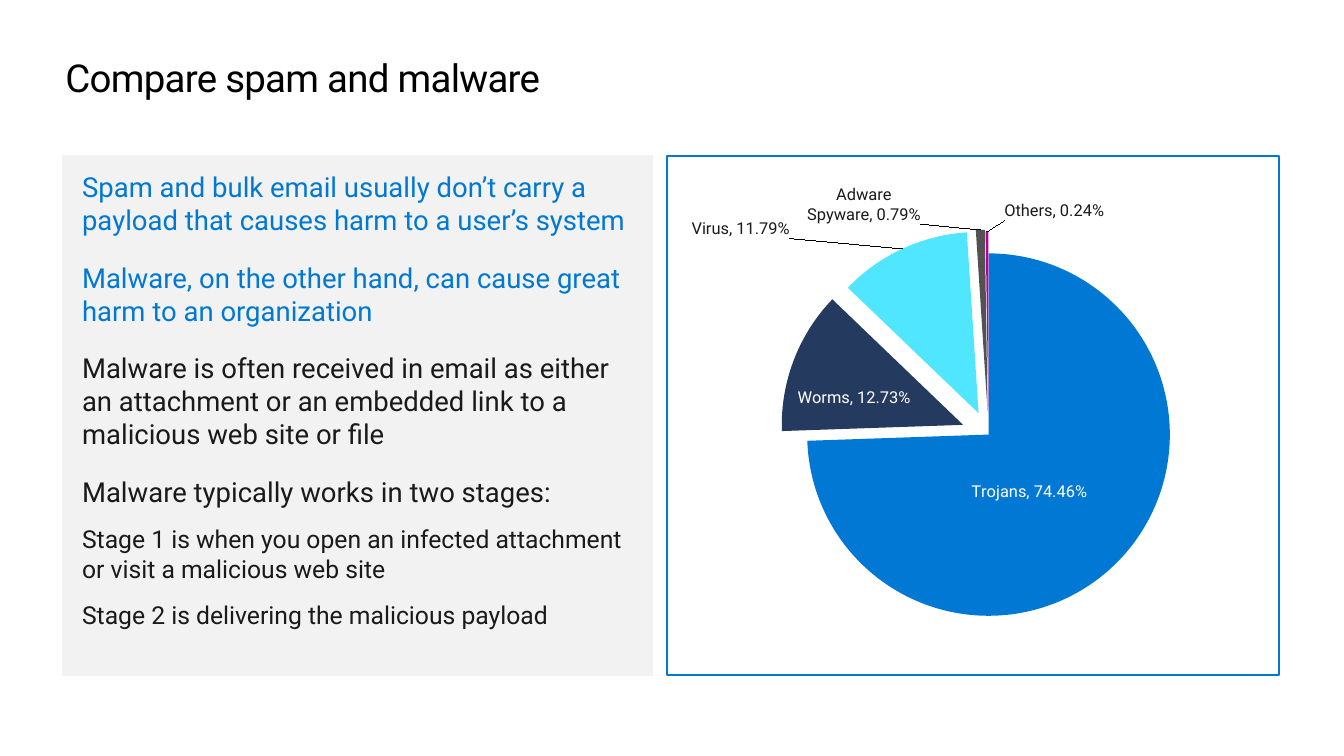
from lxml import etree
from pptx import Presentation
from pptx import util as u
from pptx.chart.data import CategoryChartData
from pptx.dml.color import RGBColor
from pptx.enum import chart as ch, shapes, text
from pptx.oxml import parse_xml
from pptx.oxml.ns import nsdecls, qn

BLUE, INK, WHITE = "0078D4", "1A1A1A", "FFFFFF"
TOP, HEIGHT = 3.99, 13.39

PARAGRAPHS = [  # text, size, colour, space after
    ("Spam and bulk email usually don’t carry a payload that causes harm to a user’s system", 20, BLUE, 6),
    ("Malware, on the other hand, can cause great harm to an organization", 20, BLUE, 6),
    ("Malware is often received in email as either an attachment or an embedded link "
     "to a malicious web site or file", 20, INK, 6),
    ("Malware typically works in two stages:", 20, INK, 0),
    ("Stage 1 is when you open an infected attachment or visit a malicious web site", 18, INK, 0),
    ("Stage 2 is delivering the malicious payload", 18, INK, 0),
]

CENTER = ch.XL_LABEL_POSITION.CENTER
OUTSIDE = ch.XL_LABEL_POSITION.OUTSIDE_END
SLICES = [  # name, share, fill, explosion, label place, label colour, label shift
    ("Trojans", 0.7446, BLUE, 0, CENTER, WHITE, (-0.04, -0.01)),
    ("Worms", 0.1273, "243A5E", 15, CENTER, WHITE, (-0.04, 0.01)),
    ("Virus", 0.1179, "50E6FF", 13, OUTSIDE, INK, (-0.18, -0.01)),
    ("Adware Spyware", 0.0079, "515251", 13, OUTSIDE, INK, (-0.19, 0)),
    ("Others", 0.0024, "B4009E", 12, OUTSIDE, INK, (0.11, -0.01)),
]


def rgb(value):
    return RGBColor.from_string(value)


def chart_xml(tag, attrs="", body=""):
    return parse_xml(f'<c:{tag} {nsdecls("c", "a")} {attrs}>{body}</c:{tag}>')


def manual_layout(**values):
    parts = "".join(f'<c:{k} val="{v}"/>' for k, v in values.items())
    return chart_xml("layout", body=f"<c:manualLayout>{parts}</c:manualLayout>")


class Deck:
    font = "Roboto"

    def __init__(self, width, height):
        self.prs = Presentation()
        self.prs.slide_width, self.prs.slide_height = u.Cm(width), u.Cm(height)
        self.s = self.prs.slides.add_slide(self.prs.slide_layouts[5])

    def style(self, font, size, color):
        font.name, font.size, font.bold = self.font, u.Pt(size), False
        font.color.rgb = rgb(color)

    def frame(self, tf, side, end):
        tf.word_wrap = True
        tf.vertical_anchor = text.MSO_ANCHOR.TOP
        tf.margin_left = tf.margin_right = u.Cm(side)
        tf.margin_top = tf.margin_bottom = u.Cm(end)

    def run(self, p, words, size, color):
        p.alignment = text.PP_ALIGN.LEFT
        r = p.add_run()
        r.text = words
        self.style(r.font, size, color)
        return r

    def title(self, words, x, y, w, h):
        sp = self.s.shapes.title
        sp.left, sp.top, sp.width, sp.height = map(u.Cm, (x, y, w, h))
        self.frame(sp.text_frame, 0, 0)
        r = self.run(sp.text_frame.paragraphs[0], words, 28, "000000")
        r.font._element.set("spc", "-50")

    def panel(self, paragraphs, x, y, w, h):
        sp = self.s.shapes.add_shape(shapes.MSO_SHAPE.RECTANGLE, *map(u.Cm, (x, y, w, h)))
        sp.shadow.inherit = False
        sp.fill.solid()
        sp.fill.fore_color.rgb = rgb("F2F2F2")
        sp.line.fill.background()
        tf = sp.text_frame
        self.frame(tf, 0.51, 0.38)
        for i, (words, size, color, after) in enumerate(paragraphs):
            p = tf.add_paragraph() if i else tf.paragraphs[0]
            p.space_before = u.Pt(12 if i else 0)
            p.space_after = u.Pt(after)
            self.run(p, words, size, color)

    def pie(self, slices, x, y, w, h):
        data = CategoryChartData(number_format="0.00%")
        data.categories = [row[0] for row in slices]
        data.add_series("Series 1", [row[1] for row in slices])
        chart = self.s.shapes.add_chart(
            ch.XL_CHART_TYPE.PIE, *map(u.Cm, (x, y, w, h)), data).chart
        chart.has_legend = chart.has_title = False
        self.style(chart.font, 10, INK)
        plot = chart.plots[0]
        plot.vary_by_categories = True
        series = plot.series[0]
        labels = series.data_labels
        labels.show_value = labels.show_category_name = True
        labels.number_format, labels.number_format_is_linked = "0.00%", False
        for i, row in enumerate(slices):
            self.pie_slice(series.points[i], *row[2:])
        for dpt, row in zip(series._element.findall(qn("c:dPt")), slices):
            dpt.find(qn("c:spPr")).addprevious(chart_xml("explosion", f'val="{row[3]}"'))
        for label, row in zip(series._element.iter(qn("c:dLbl")), slices):
            self.place_label(label, *row[6])
        self.outline(chart)

    def pie_slice(self, point, fill, explosion, place, color, shift):
        point.format.fill.solid()
        point.format.fill.fore_color.rgb = rgb(fill)
        point.format.line.fill.background()
        self.style(point.data_label.font, 12, color)
        point.data_label.position = place

    def place_label(self, label, dx, dy):
        """Shift a label from its default place and show name and share."""
        label.insert(1, manual_layout(x=dx, y=dy))
        label.insert(2, chart_xml("numFmt", 'formatCode="0.00%" sourceLinked="0"'))
        label.find(qn("c:showCatName")).set("val", "1")
        separator = etree.Element(qn("c:separator"))
        separator.text = ", "
        label.find(qn("c:showBubbleSize")).addnext(separator)

    def outline(self, chart):
        """Fix the plot area and draw the border round the chart."""
        body = chart._chartSpace.find(qn("c:chart"))
        area = body.find(qn("c:plotArea"))
        for old in area.findall(qn("c:layout")):
            area.remove(old)
        area.insert(0, manual_layout(layoutTarget="inner", xMode="edge", yMode="edge",
                                     x=0.229, y=0.129, w=0.593, h=0.815))
        body.addnext(chart_xml("spPr", body=(
            '<a:noFill/><a:ln w="19050"><a:solidFill>'
            f'<a:srgbClr val="{BLUE}"/></a:solidFill></a:ln>')))


def main():
    deck = Deck(34.54, 19.43)
    deck.title("Compare spam and malware", 1.68, 1.4, 31.22, 1.22)
    deck.panel(PARAGRAPHS, 1.6, TOP, 15.19, HEIGHT)
    deck.pie(SLICES, 17.12, TOP, 15.77, HEIGHT)
    deck.prs.save("out.pptx")


if __name__ == "__main__":
    main()
